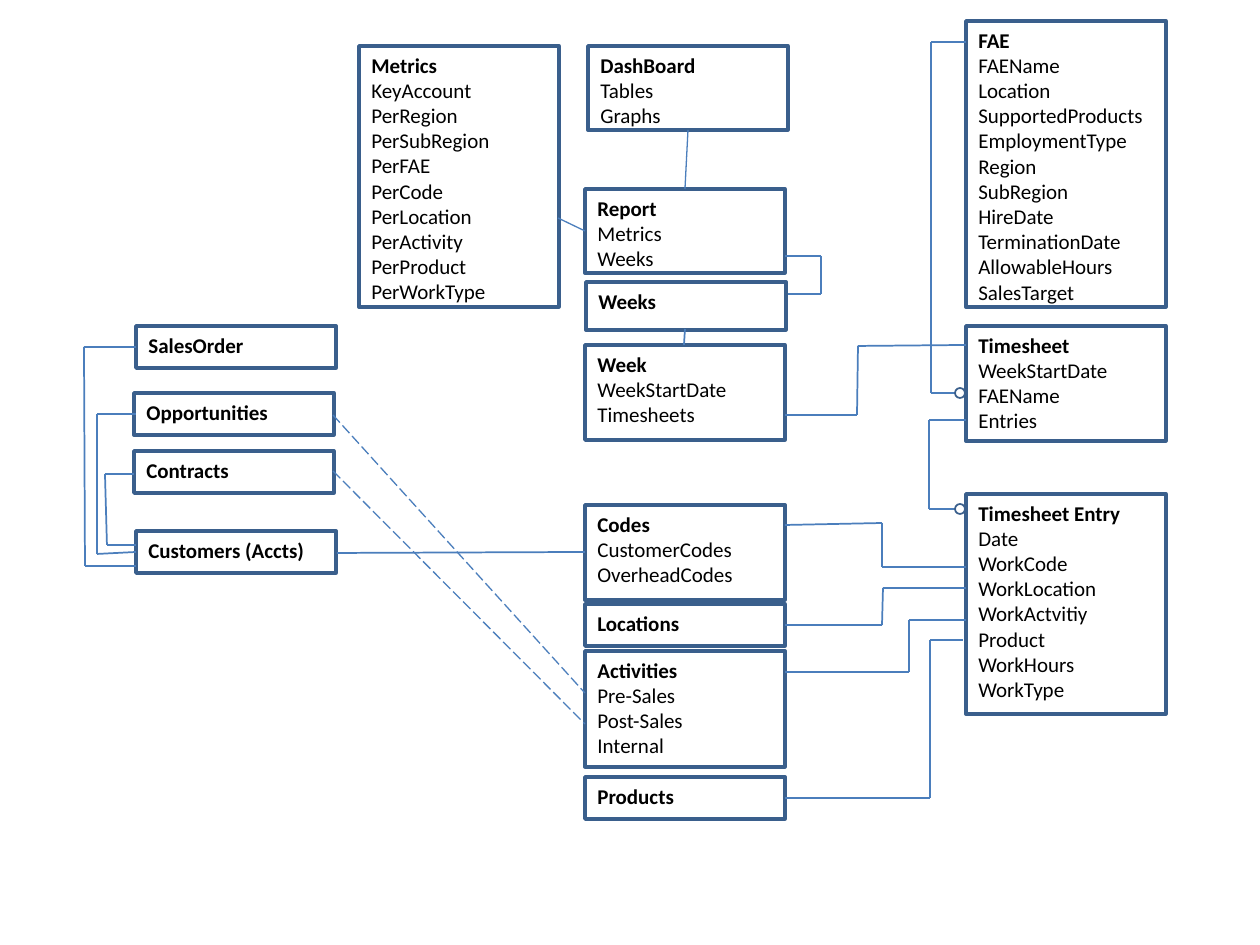
from itertools import pairwise

from lxml import etree
from pptx import Presentation
from pptx.dml.color import RGBColor
from pptx.enum.dml import MSO_LINE
from pptx.enum.shapes import MSO_CONNECTOR, MSO_SHAPE
from pptx.enum.text import MSO_ANCHOR, PP_ALIGN
from pptx.oxml.ns import qn
from pptx.util import Emu, Pt

RECT, OVAL = MSO_SHAPE.RECTANGLE, MSO_SHAPE.OVAL
STRAIGHT = MSO_CONNECTOR.STRAIGHT
LONG_DASH = MSO_LINE.LONG_DASH
TOP, LEFT = MSO_ANCHOR.TOP, PP_ALIGN.LEFT
BORDER, LINK, TEXT = "3A5F8C", "4B7EBC", "000000"
FONT = {"name": "Calibri", "size": Pt(12)}
BOX_W, ROW_H, DOT = 200, 42, 10


def px(n):
    """Turn pixels into EMU at 126 pixels to the inch."""
    return Emu(round(n * 914400 / 126))


def rgb(value):
    """Return the colour for a hex string."""
    return RGBColor.from_string(value)


def outline(s, kind, box, width):
    """Add an unfilled shape with a border."""
    sp = s.shapes.add_shape(kind, *map(px, box))
    sp.shadow.inherit = False
    sp.fill.background()
    sp.line.color.rgb = rgb(BORDER)
    sp.line.width = Pt(width)
    return sp


def entity(s, x, y, h, title, *fields):
    """Add an entity box with a bold title above its fields."""
    tf = outline(s, RECT, (x, y, BOX_W, h), 2).text_frame
    tf.word_wrap = True
    tf.vertical_anchor = TOP
    for i, text in enumerate((title, *fields)):
        p = tf.add_paragraph() if i else tf.paragraphs[0]
        p.alignment = LEFT
        r = p.add_run()
        r.text = text
        r.font.color.rgb = rgb(TEXT)
        for key, value in (FONT | {"bold": i == 0}).items():
            setattr(r.font, key, value)


def link(s, x, y, points, width=1, dash=None):
    """Join points, given relative to (x, y), with straight connectors."""
    for (x1, y1), (x2, y2) in pairwise(points):
        ends = (x + x1, y + y1, x + x2, y + y2)
        c = s.shapes.add_connector(STRAIGHT, *map(px, ends))
        c.line.color.rgb = rgb(LINK)
        c.line.width = Pt(width)
        if dash:
            c.line.dash_style = dash
        etree.SubElement(c._element.spPr, qn("a:effectLst"))


def staff(s, x, y):
    """Add the engineer, timesheet and entry boxes."""
    left = x + 37
    entity(s, left, y, 286, "FAE", "FAEName", "Location", "SupportedProducts",
           "EmploymentType", "Region", "SubRegion", "HireDate",
           "TerminationDate", "AllowableHours", "SalesTarget")
    entity(s, left, y + 305, 115, "Timesheet", "WeekStartDate", "FAEName",
           "Entries")
    entity(s, left, y + 473, 220, "Timesheet Entry", "Date", "WorkCode",
           "WorkLocation", "WorkActvitiy", "Product", "WorkHours", "WorkType")
    for bend, start, end in ((2, 21, 372), (0, 399, 488)):
        link(s, x, y, [(37, start), (bend, start), (bend, end), (26, end)])
        outline(s, OVAL, (x + 26, y + end - DOT / 2, DOT, DOT), 1)


def reports(s, x, y):
    """Add the metrics, dashboard, report and week boxes."""
    entity(s, x, y, 261, "Metrics", "KeyAccount", "PerRegion", "PerSubRegion",
           "PerFAE", "PerCode", "PerLocation", "PerActivity", "PerProduct",
           "PerWorkType")
    entity(s, x + 229, y, 84, "DashBoard", "Tables", "Graphs")
    entity(s, x + 226, y + 143, 84, "Report", "Metrics", "Weeks")
    entity(s, x + 227, y + 236, 48, "Weeks")
    entity(s, x + 226, y + 299, 95, "Week", "WeekStartDate", "Timesheets")
    link(s, x, y, [(199, 172), (226, 185)], 0.75)
    link(s, x, y, [(329, 84), (326, 143)], 0.75)
    link(s, x, y, [(326, 283), (325, 299)])
    link(s, x, y, [(426, 210), (462, 210), (462, 248), (429, 248)])


def work_items(s, x, y):
    """Add the lookup boxes and their links to the timesheet entry."""
    entity(s, x, y, 95, "Codes", "CustomerCodes", "OverheadCodes")
    entity(s, x, y + 99, ROW_H, "Locations")
    entity(s, x, y + 146, 116, "Activities", "Pre-Sales", "Post-Sales",
           "Internal")
    entity(s, x, y + 272, ROW_H, "Products")
    link(s, x, y, [(BOX_W, 20), (297, 18), (297, 62), (381, 62)])
    link(s, x, y, [(BOX_W, 120), (297, 120), (298, 83), (381, 83)])
    link(s, x, y, [(BOX_W, 167), (324, 167), (324, 115), (381, 115)])
    link(s, x, y, [(BOX_W, 293), (345, 293), (345, 135), (378, 135)])


def customers(s, x, y):
    """Add the sales boxes and their links to the customers."""
    for dx, dy, title in ((52, 0, "SalesOrder"), (50, 67, "Opportunities"),
                          (50, 125, "Contracts"),
                          (52, 205, "Customers (Accts)")):
        entity(s, x + dx, y + dy, ROW_H, title)
    link(s, x, y, [(52, 21), (0, 21), (1, 240), (52, 240)])
    link(s, x, y, [(52, 88), (13, 88), (13, 228), (52, 226)])
    link(s, x, y, [(50, 148), (21, 148), (23, 219), (52, 219)])


def cross_links(s, x, y):
    """Add the links that run between regions."""
    link(s, x, y, [(337, 553), (585, 552)])
    link(s, x, y, [(785, 415), (857, 415), (858, 346), (966, 345)])
    for start, end in ((415, 693), (471, 724)):
        link(s, x, y, [(333, start), (585, end)], 0.75, LONG_DASH)


def main():
    """Build and save the entity diagram."""
    prs = Presentation()
    prs.slide_width, prs.slide_height = px(1260), px(945)
    s = prs.slides.add_slide(prs.slide_layouts[6])
    staff(s, 929, 21)
    reports(s, 359, 46)
    work_items(s, 585, 505)
    customers(s, 84, 326)
    cross_links(s, 0, 0)
    prs.save("out.pptx")


if __name__ == "__main__":
    main()
